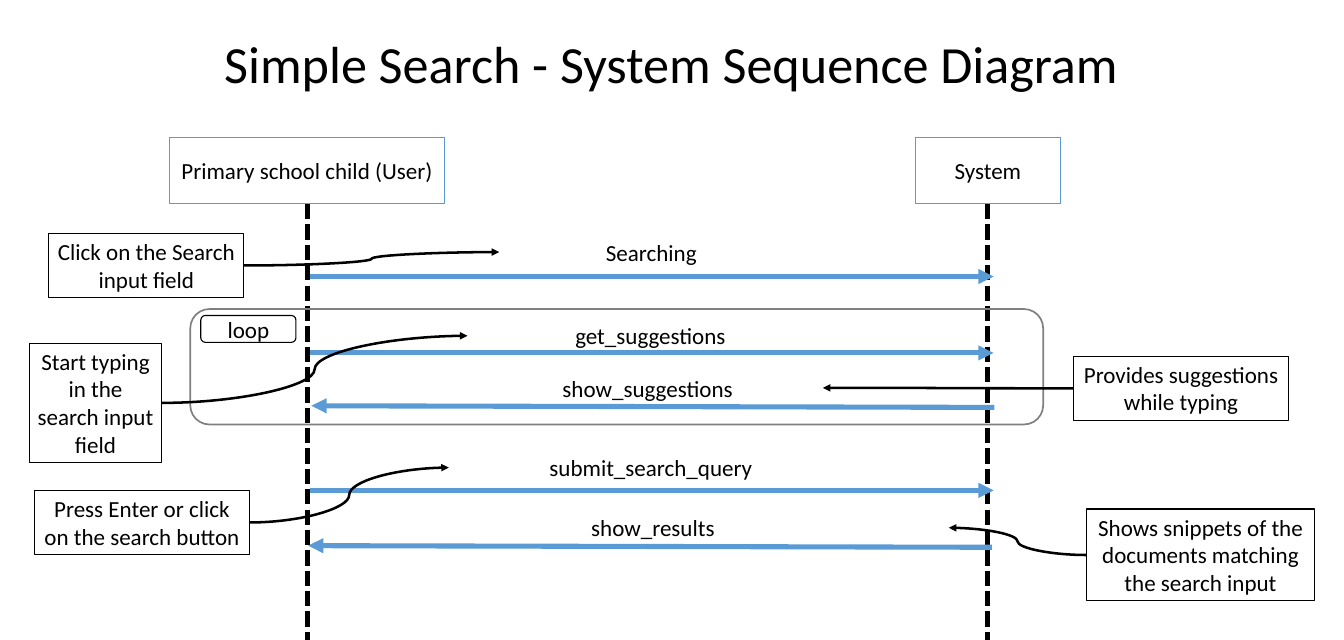
import pptx
import pptx.util
import pptx.dml.color
import pptx.enum.dml
import pptx.enum.shapes
import pptx.enum.text
import pptx.oxml.ns
import lxml.etree
from pptx.util import Inches

# Content: boxes are (left, top, width, height) in inches
TITLE = "Simple Search - System Sequence Diagram"
PARTICIPANTS = [
    ("Primary school child (User)", (2.08, 1.69, 3.39, 0.81), 3.78),
    ("System", (11.26, 1.69, 1.78, 0.81), 12.15),
]
# name: (label left, label top, label width, arrow start, arrow end)
MESSAGES = {
    "Searching": (6.14, 2.88, 3.74, (3.81, 3.4), (12.22, 3.4)),
    "get_suggestions": (5.75, 3.91, 4.5, (3.81, 4.34), (12.22, 4.34)),
    "show_suggestions": (5.81, 4.55, 4.31, (12.23, 5.01), (3.83, 4.99)),
    "submit_search_query": (5.52, 5.53, 4.97, (3.81, 6.03), (12.22, 6.03)),
    "show_results": (4.39, 6.27, 7.28, (12.2, 6.73), (3.79, 6.71)),
}
NOTES = [
    ("Click on the Search input field", (0.6, 2.87, 2.4, 0.79), "Searching"),
    ("Start typing in the search input field", (0.36, 4.22, 1.63, 1.47), "get_suggestions"),
    ("Provides suggestions while typing", (13.2, 4.38, 2.65, 0.79), "show_suggestions"),
    ("Press Enter or click on the search button", (0.42, 6.03, 2.65, 0.79), "submit_search_query"),
    ("Shows snippets of the documents matching the search input",
     (13.36, 6.26, 2.81, 1.13), "show_results"),
]
LOOP_FRAME = (2.34, 3.8, 10.49, 1.42)
LOOP_TAG = (2.47, 3.88, 1.17, 0.33)
LIFELINE_TOP, SLIDE_WIDTH, SLIDE_HEIGHT = 2.51, 16.53, 7.87
LABEL_HEIGHT = 0.44
BLACK, WHITE, BLUE, GRAY = "000000", "FFFFFF", "5B9BD5", "808080"

SHAPES = pptx.enum.shapes.MSO_SHAPE
CONNECTORS = pptx.enum.shapes.MSO_CONNECTOR
MIDDLE = pptx.enum.text.MSO_ANCHOR.MIDDLE
TOP = pptx.enum.text.MSO_ANCHOR.TOP

deck = pptx.Presentation()
deck.slide_width, deck.slide_height = Inches(SLIDE_WIDTH), Inches(SLIDE_HEIGHT)
slide = deck.slides.add_slide(deck.slide_layouts[6])


def color(hex_value):
    return pptx.dml.color.RGBColor.from_string(hex_value)


def write(shape, text, size=20.4, anchor=MIDDLE, spacing=1.0):
    frame = shape.text_frame
    frame.word_wrap = True
    frame.vertical_anchor = anchor
    frame.margin_left = frame.margin_right = Inches(0.08)
    paragraph = frame.paragraphs[0]
    paragraph.alignment = pptx.enum.text.PP_ALIGN.CENTER
    paragraph.line_spacing = spacing
    run = paragraph.add_run()
    run.text = text
    run.font.name = "Calibri"
    run.font.size = pptx.util.Pt(size)
    run.font.color.rgb = color(BLACK)


def label(text, box, **style):
    write(slide.shapes.add_textbox(*map(Inches, box)), text, **style)


def panel(kind, box, outline, weight=1, fill=WHITE):
    shape = slide.shapes.add_shape(kind, *map(Inches, box))
    shape.shadow.inherit = False
    if fill:
        shape.fill.solid()
        shape.fill.fore_color.rgb = color(fill)
    else:
        shape.fill.background()
    shape.line.color.rgb = color(outline)
    shape.line.width = pptx.util.Pt(weight)
    return shape


def connect(start, end, hex_value, weight, kind=CONNECTORS.STRAIGHT, arrow=True):
    link = slide.shapes.add_connector(kind, *map(Inches, start + end))
    link.line.color.rgb = color(hex_value)
    link.line.width = pptx.util.Pt(weight)
    properties = link._element.spPr
    if arrow:
        stroke = properties.find(pptx.oxml.ns.qn("a:ln"))
        lxml.etree.SubElement(stroke, pptx.oxml.ns.qn("a:tailEnd"), type="triangle")
    lxml.etree.SubElement(properties, pptx.oxml.ns.qn("a:effectLst"))
    return link


# Title
label(TITLE, (0.78, 0.25, 14.95, 1.13), size=46.2, spacing=0.9)

# Participants and lifelines
for name, box, axis in PARTICIPANTS:
    write(panel(SHAPES.RECTANGLE, box, BLUE), name)
    lifeline = connect((axis, LIFELINE_TOP), (axis, SLIDE_HEIGHT), BLACK, 4.5, arrow=False)
    lifeline.line.dash_style = pptx.enum.dml.MSO_LINE.SQUARE_DOT

# Loop
panel(SHAPES.ROUNDED_RECTANGLE, LOOP_FRAME, GRAY, 1.5, fill=None)
write(panel(SHAPES.ROUNDED_RECTANGLE, LOOP_TAG, BLACK), "loop")

# Messages
for name, (left, top, width, start, end) in MESSAGES.items():
    label(name, (left, top, width, LABEL_HEIGHT), anchor=TOP)
    connect(start, end, BLUE, 4.5)

# Notes, each pointing to the near side of its message label
for text, box, message in NOTES:
    write(panel(SHAPES.RECTANGLE, box, BLACK), text, anchor=TOP)
    left, top, width, height = box
    label_left, label_top, label_width = MESSAGES[message][:3]
    on_left = left < label_left
    start = (left + width if on_left else left, top + height / 2)
    end = (label_left if on_left else label_left + label_width, label_top + LABEL_HEIGHT / 2)
    connect(start, end, BLACK, 2.25, CONNECTORS.CURVE)

deck.save("out.pptx")
